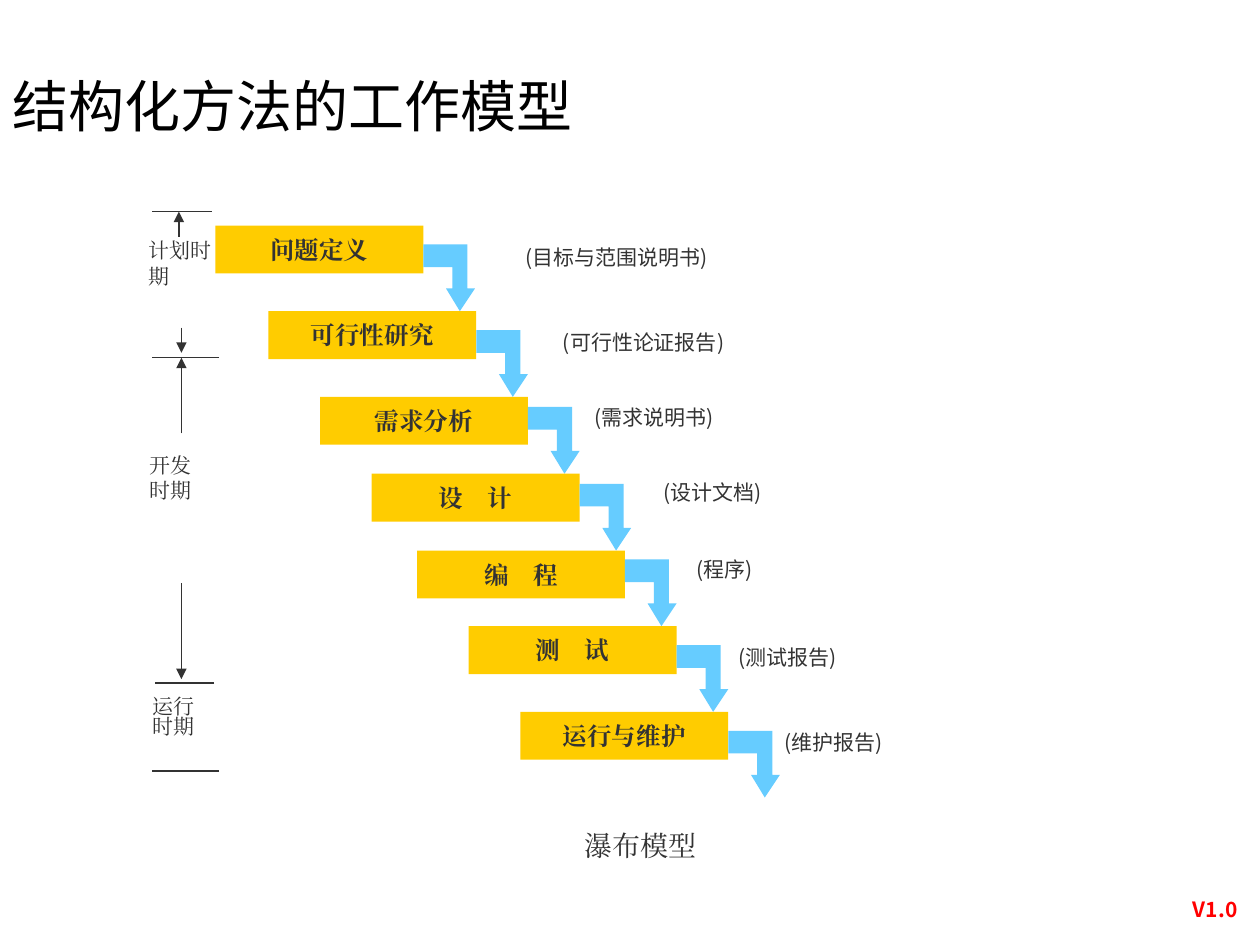
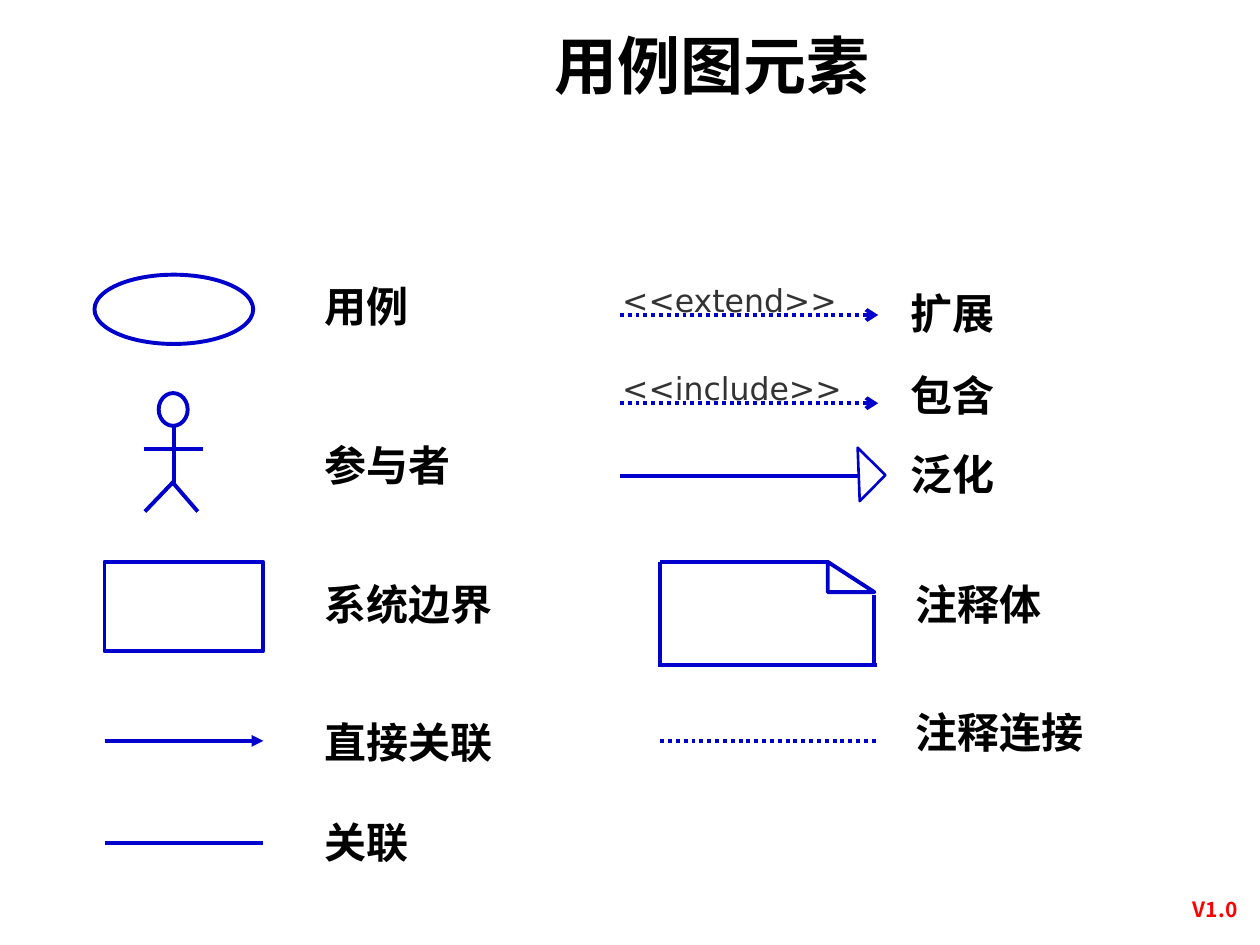
from pptx import Presentation
from pptx.dml.color import RGBColor
from pptx.enum.dml import MSO_LINE
from pptx.enum.shapes import MSO_CONNECTOR, MSO_SHAPE
from pptx.enum.text import MSO_ANCHOR as Anchor, PP_ALIGN as Align
from pptx.oxml.ns import qn
from pptx.util import Inches, Pt
from lxml.etree import SubElement

# Slide grid: one cell is one tenth of the width
COLUMNS, ROWS = 10, 7.5
CELL = Inches(1)

# Shared colours and fonts
BLACK, GREY, WHITE, RED = "000000", "333333", "FFFFFF", "FF0000"
YELLOW, SKY, BLUE = "FFCC00", "66CCFF", "0000CC"
CJK, SERIF, SANS = "Noto Sans CJK SC", "Times New Roman", "DejaVu Sans"

# Waterfall: left, top, stage, document, document left and top
STAGE_WIDTH, STAGE_HEIGHT = 1.65, 0.38
STAGES = [
    (1.71, 1.79, "问题定义", "(目标与范围说明书)", 4.07, 1.89),
    (2.13, 2.47, "可行性研究", "(可行性论证报告)", 4.37, 2.57),
    (2.54, 3.15, "需求分析", "(需求说明书)", 4.62, 3.16),
    (2.95, 3.76, "设　计", "(设计文档)", 5.17, 3.76),
    (3.31, 4.37, "编　程", "(程序)", 5.43, 4.37),
    (3.72, 4.97, "测　试", "(测试报告)", 5.76, 5.07),
    (4.13, 5.65, "运行与维护", "(维护报告)", 6.13, 5.74),
]
LAST_ARROW_TIP = 6.33
ARROW_HEIGHT = 0.53
ARROW_OUTLINE = [(0, 0), (0.35, 0), (0.35, 0.35), (0.41, 0.35), (0.29, 0.53),
                 (0.18, 0.35), (0.23, 0.35), (0.23, 0.18), (0, 0.18)]

# Periods beside the waterfall
PERIOD_BOUNDS = [(1.21, 1.68, 1.68), (1.21, 1.74, 2.84),
                 (1.23, 1.70, 5.42), (1.21, 1.74, 6.12)]
PERIOD_ARROWS = [(1.42, 1.88, 1.68), (1.44, 2.60, 2.80),
                 (1.44, 3.44, 2.84), (1.44, 4.63, 5.39)]

# Names of the use case elements: left, top, text
ELEMENT_NAMES = [
    (2.48, 2.18, "用例"), (2.48, 3.44, "参与者"), (2.48, 4.54, "系统边界"),
    (2.48, 6.43, "关联"), (7.13, 2.23, "扩展"), (7.13, 2.88, "包含"),
    (7.13, 3.51, "泛化"), (7.17, 4.54, "注释体"), (7.17, 5.56, "注释连接"),
]


def color(value):
    return RGBColor.from_string(value)


def cells(*counts):
    return [round(count * CELL) for count in counts]


def style_run(run, size, font, ink, bold=False):
    run.font.size = Pt(size)
    run.font.name = font
    run.font.bold = bold
    run.font.color.rgb = color(ink)
    SubElement(run.font._element, qn("a:ea")).set("typeface", font)


def write(shape, text, size, font, ink, bold=False, align=Align.LEFT,
          anchor=Anchor.TOP, wrap=True, spacing=None):
    frame = shape.text_frame
    frame.text = text
    frame.word_wrap = wrap
    frame.vertical_anchor = anchor
    for paragraph in frame.paragraphs:
        paragraph.alignment = align
        if spacing:
            paragraph.line_spacing = spacing
        for run in paragraph.runs:
            style_run(run, size, font, ink, bold)


def add_text(slide, box, text, size, font, ink, **options):
    shape = slide.shapes.add_textbox(*cells(*box))
    write(shape, text, size, font, ink, **options)
    return shape


def paint(shape, fill=None, line=None, width=2.25):
    shape.shadow.inherit = False
    if fill:
        shape.fill.solid()
        shape.fill.fore_color.rgb = color(fill)
    else:
        shape.fill.background()
    if line:
        shape.line.color.rgb = color(line)
        shape.line.width = Pt(width)
    else:
        shape.line.fill.background()


def add_figure(slide, kind, box, **look):
    shape = slide.shapes.add_shape(kind, *cells(*box))
    paint(shape, **look)
    return shape


def add_line(slide, start, end, ink=BLUE, width=2.25, dotted=False, head=None):
    connector = slide.shapes.add_connector(
        MSO_CONNECTOR.STRAIGHT, *cells(*start, *end))
    line = connector.line
    line.color.rgb = color(ink)
    line.width = Pt(width)
    if dotted:
        line.dash_style = MSO_LINE.ROUND_DOT
    if head:
        SubElement(line._get_or_add_ln(), qn("a:tailEnd")).set("type", head)
    SubElement(connector._element.spPr, qn("a:effectLst"))


def add_bent_arrow(slide, left, tip):
    top = tip - ARROW_HEIGHT
    points = [cells(left + x, top + y) for x, y in ARROW_OUTLINE]
    builder = slide.shapes.build_freeform(*points[0])
    builder.add_line_segments(points[1:], close=True)
    paint(builder.convert_to_shape(), fill=SKY)


def add_slide(presentation):
    slide = presentation.slides.add_slide(presentation.slide_layouts[6])
    add_text(slide, (9.25, 7.07, 0.79, 0.3), "V1.0", 12, CJK, RED,
             bold=True, align=Align.CENTER)
    return slide


def add_stages(slide):
    tips = [stage[1] for stage in STAGES[1:]] + [LAST_ARROW_TIP]
    for (left, top, name, document, x, y), tip in zip(STAGES, tips):
        box = add_figure(slide, MSO_SHAPE.RECTANGLE,
                         (left, top, STAGE_WIDTH, STAGE_HEIGHT), fill=YELLOW)
        write(box, name, 14, SERIF, GREY, bold=True, align=Align.CENTER,
              anchor=Anchor.MIDDLE, wrap=False)
        add_bent_arrow(slide, left + STAGE_WIDTH, tip)
        add_text(slide, (x, y, 2.26, 0.3), document, 12, CJK, GREY)


def add_periods(slide):
    add_text(slide, (1.08, 1.84, 0.81, 0.5), "计划时期", 12, SERIF, GREY)
    add_text(slide, (1.09, 3.54, 0.79, 0.5), "开发\n时期", 12, SERIF, GREY)
    add_text(slide, (1.11, 5.49, 0.8, 0.42), "运行\n时期", 12, SERIF, GREY,
             spacing=0.8)
    for left, right, y in PERIOD_BOUNDS:
        add_line(slide, (right, y), (left, y), GREY, 0.75)
    for x, start, end in PERIOD_ARROWS:
        add_line(slide, (x, start), (x, end), GREY, 0.75, head="triangle")


def add_waterfall_slide(presentation):
    slide = add_slide(presentation)
    title = add_figure(slide, MSO_SHAPE.RECTANGLE, (0, 0.5, 7.42, 0.67), fill=WHITE)
    write(title, "结构化方法的工作模型", 32, CJK, BLACK, anchor=Anchor.MIDDLE)
    add_stages(slide)
    add_periods(slide)
    add_text(slide, (4.54, 6.53, 1.84, 0.37), "瀑布模型", 16, SERIF, GREY)


def add_actor(slide):
    add_figure(slide, MSO_SHAPE.OVAL, (1.26, 3.12, 0.23, 0.26), line=BLUE)
    add_line(slide, (1.14, 3.56), (1.61, 3.56))
    add_line(slide, (1.38, 3.38), (1.38, 3.86))
    add_line(slide, (1.38, 3.82), (1.15, 4.06))
    add_line(slide, (1.38, 3.84), (1.57, 4.06))


def add_note(slide):
    left, top, right, bottom, fold = 5.24, 4.46, 6.94, 5.28, (0.37, 0.24)
    add_figure(slide, MSO_SHAPE.RIGHT_TRIANGLE,
               (right - fold[0], top, *fold), line=BLUE)
    add_line(slide, (left, top), (right - fold[0], top))
    add_line(slide, (left, bottom), (right + 0.02, bottom))
    add_line(slide, (right, top + fold[1] + 0.02), (right, bottom))
    add_line(slide, (left, top), (left, bottom + 0.01))


def add_relations(slide):
    for y, keyword in ((2.5, "<<extend>>"), (3.2, "<<include>>")):
        add_line(slide, (4.92, y), (6.97, y), dotted=True, head="arrow")
        add_text(slide, (4.84, y - 0.32, 1.97, 0.4), keyword, 18, SANS, GREY)
    # Generalization
    add_line(slide, (4.92, 3.78), (6.81, 3.78))
    head = add_figure(slide, MSO_SHAPE.RIGHT_TRIANGLE,
                      (6.66, 3.62, 0.31, 0.29), line=BLUE, width=1.5)
    head.rotation = 224.6
    # Associations and note link
    add_line(slide, (0.83, 5.88), (2.09, 5.88), head="triangle")
    add_line(slide, (0.83, 6.69), (2.09, 6.69))
    add_line(slide, (5.24, 5.88), (6.97, 5.88), dotted=True)


def add_element_names(slide):
    for left, top, name in ELEMENT_NAMES:
        add_text(slide, (left, top, 2.28, 0.5), name, 24, SANS, BLACK, bold=True)
    direct = add_text(slide, (2.48, 5.64, 1.73, 0.5), "直接", 24, "Roboto",
                      BLACK, bold=True)
    run = direct.text_frame.paragraphs[0].add_run()
    run.text = "关联"
    style_run(run, 24, SANS, BLACK, bold=True)


def add_use_case_slide(presentation):
    slide = add_slide(presentation)
    add_text(slide, (4.3, 0.3, 5.13, 0.56), "用例图元素", 36, "Arial", BLACK,
             bold=True, anchor=Anchor.BOTTOM)
    add_figure(slide, MSO_SHAPE.OVAL, (0.75, 2.18, 1.26, 0.55), line=BLUE)
    add_actor(slide)
    add_figure(slide, MSO_SHAPE.RECTANGLE, (0.83, 4.46, 1.26, 0.71), line=BLUE)
    add_relations(slide)
    add_note(slide)
    add_element_names(slide)


def main():
    presentation = Presentation()
    presentation.slide_width, presentation.slide_height = cells(COLUMNS, ROWS)
    add_waterfall_slide(presentation)
    add_use_case_slide(presentation)
    presentation.save("out.pptx")


if __name__ == "__main__":
    main()
